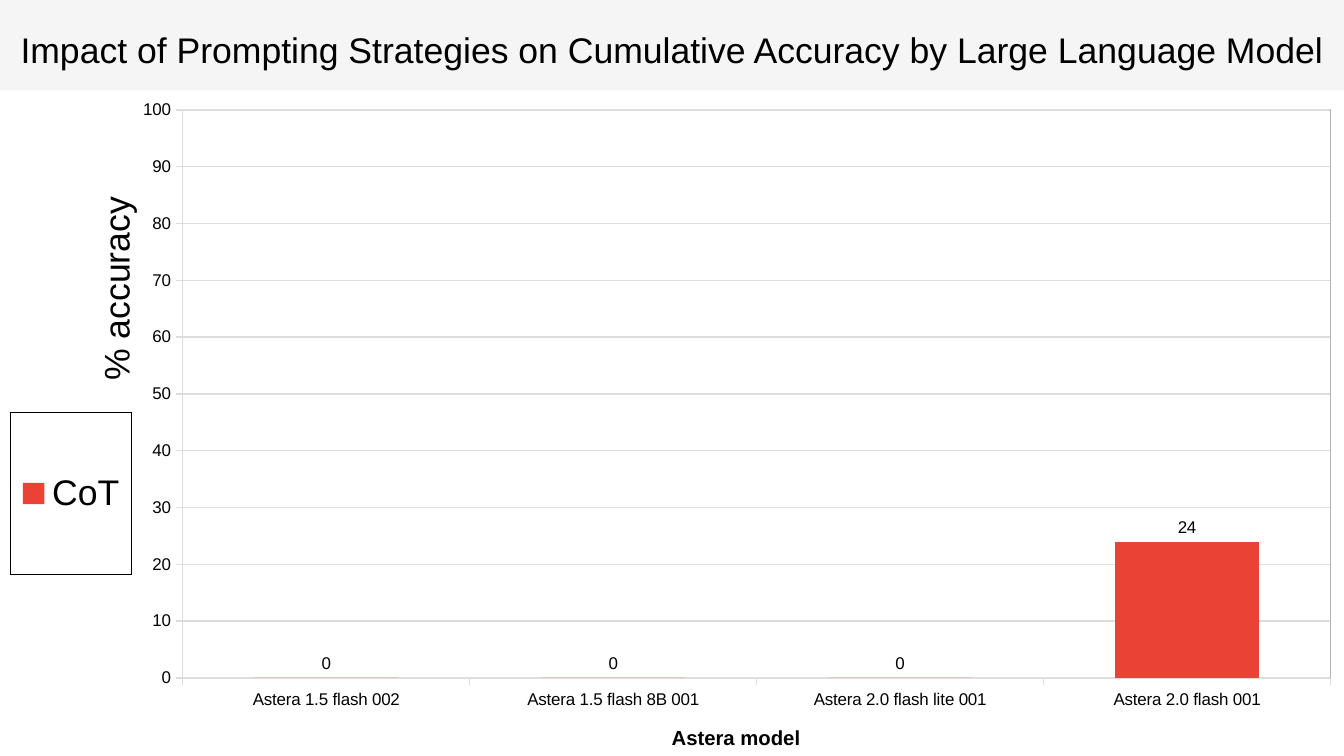
from lxml import etree
from pptx import Presentation
from pptx.chart.data import CategoryChartData
from pptx.dml.color import RGBColor
from pptx.enum.chart import XL_CHART_TYPE, XL_LABEL_POSITION, XL_LEGEND_POSITION, XL_TICK_MARK
from pptx.enum.text import MSO_ANCHOR, PP_ALIGN
from pptx.oxml import parse_xml
from pptx.oxml.ns import nsdecls, qn
from pptx.util import Inches, Pt

COLUMN = XL_CHART_TYPE.COLUMN_CLUSTERED
ABOVE = XL_LABEL_POSITION.OUTSIDE_END
RIGHT = XL_LEGEND_POSITION.RIGHT
OUT = XL_TICK_MARK.OUTSIDE
MIDDLE = MSO_ANCHOR.MIDDLE
CENTER = PP_ALIGN.CENTER

hues = {"back": "F5F5F5", "text": "000000", "grid": "DDDDDD",
        "edge": "B3B3B3", "plot": "FFFFFF", "bar": "EA4335"}
color = {name: RGBColor.from_string(code) for name, code in hues.items()}


def style(font, size, bold=False):
    font.name = "Arial"
    font.size = Pt(size)
    font.bold = bold
    font.color.rgb = color["text"]


def place(node, index, shares, inner=False):
    for old in node.findall(qn("c:layout")):
        node.remove(old)
    layout = parse_xml(f"<c:layout {nsdecls('c')}><c:manualLayout/></c:layout>")
    parts = [("layoutTarget", "inner")] if inner else []
    parts += [("xMode", "edge"), ("yMode", "edge")]
    parts += [(side, round(share / 100, 4)) for side, share in zip("xywh", shares)]
    for tag, value in parts:
        etree.SubElement(layout[0], qn("c:" + tag)).set("val", str(value))
    node.insert(index, layout)


deck = Presentation()
deck.slide_width, deck.slide_height = Inches(11.02), Inches(6.2)
wide = deck.slide_width
slide = deck.slides.add_slide(deck.slide_layouts[6])
slide.background.fill.solid()
slide.background.fill.fore_color.rgb = color["back"]

data = CategoryChartData(number_format="General")
data.categories = ["Astera 1.5 flash 002", "Astera 1.5 flash 8B 001",
                   "Astera 2.0 flash lite 001", "Astera 2.0 flash 001"]
data.add_series("CoT", [0, 0, 0, 24])
chart = slide.shapes.add_chart(COLUMN, 0, Inches(0.74), wide, Inches(5.56), data).chart
chart.has_title = False
style(chart.font, 10)

plot = chart.plots[0]
plot.gap_width = 100
plot.vary_by_categories = False
bars = plot.series[0]
bars.format.fill.solid()
bars.format.fill.fore_color.rgb = color["bar"]
labels = bars.data_labels
labels.show_value = True
labels.position = ABOVE
style(labels.font, 10)

axes = [(chart.category_axis, "Astera model", 12, True, (49.7, 93.2)),
        (chart.value_axis, "% accuracy", 21, False, (6.5, 14.8))]
for axis, words, size, bold, shares in axes:
    title = axis.axis_title
    title.text_frame.text = words
    style(title.text_frame.paragraphs[0].runs[0].font, size, bold)
    place(title._element, 1, shares)
    axis.major_tick_mark = OUT
    axis.format.line.color.rgb = color["grid"]
    axis.format.line.width = 0
    style(axis.tick_labels.font, 10)

scale = chart.value_axis
scale.minimum_scale, scale.maximum_scale, scale.major_unit = 0, 100, 10
scale.has_major_gridlines = True
scale.major_gridlines.format.line.color.rgb = color["grid"]
scale.major_gridlines.format.line.width = 0

chart.has_legend = True
legend = chart.legend
legend.position = RIGHT
legend.include_in_layout = False
style(legend.font, 21)
place(legend._element, 1, (0.8, 47.5, 9, 24))

space = chart._chartSpace
body = space.find(qn("c:chart"))
area = body.find(qn("c:plotArea"))
place(area, 0, (13.6, 2.9, 85.4, 83.8), True)

fill = f'<a:solidFill><a:srgbClr val="{hues["plot"]}"/></a:solidFill>'
frames = [(body, fill, None), (area[-1], fill, "edge"),
          (legend._element.find(qn("c:overlay")), "<a:noFill/>", "text")]
for node, paint, edge in frames:
    ink = f'<a:solidFill><a:srgbClr val="{hues[edge]}"/></a:solidFill>' if edge else "<a:noFill/>"
    node.addnext(parse_xml(
        f'<c:spPr {nsdecls("c", "a")}>{paint}<a:ln w="0">{ink}</a:ln></c:spPr>'))

box = slide.shapes.add_textbox(0, Inches(0.2), wide, Inches(0.41))
frame = box.text_frame
frame.word_wrap = True
frame.vertical_anchor = MIDDLE
frame.margin_left = frame.margin_right = frame.margin_top = frame.margin_bottom = 0
frame.text = "Impact of Prompting Strategies on Cumulative Accuracy by Large Language Model"
frame.paragraphs[0].alignment = CENTER
style(frame.paragraphs[0].runs[0].font, 21)

deck.save("out.pptx")
